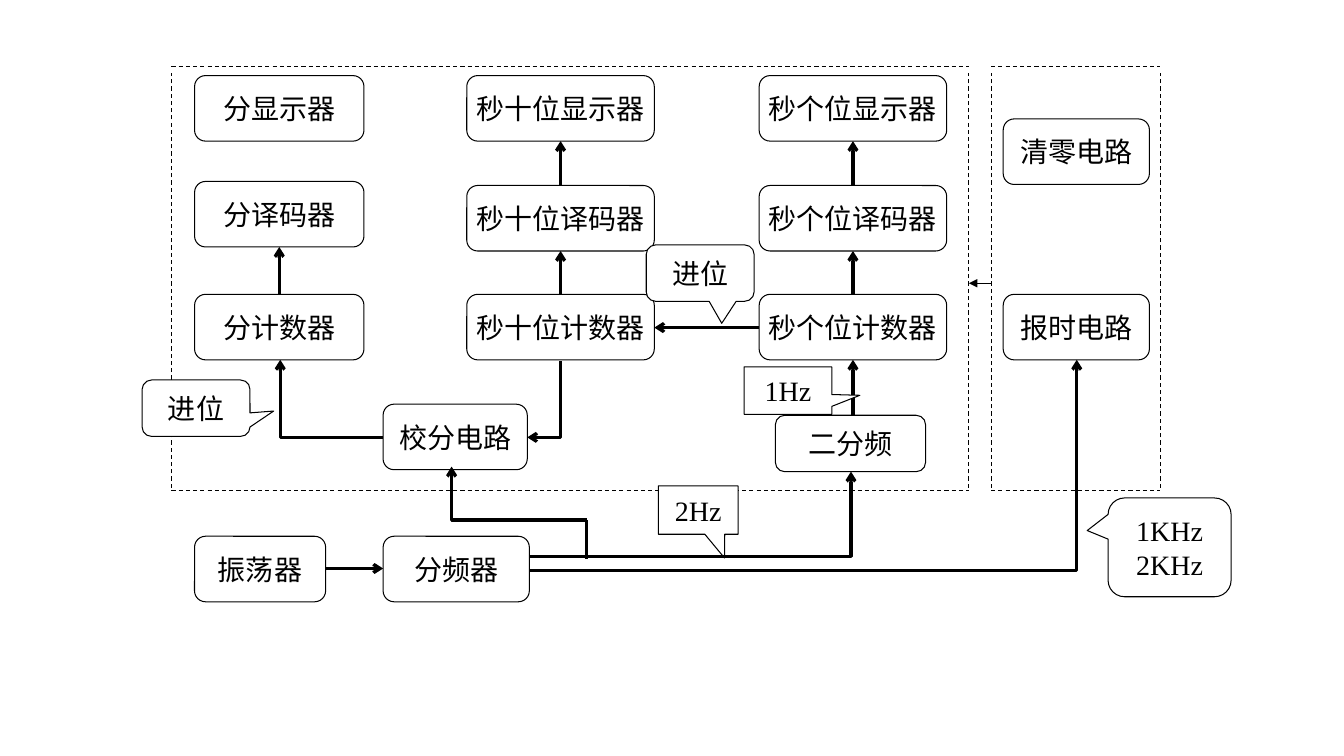
from dataclasses import dataclass

from lxml import etree
from pptx import Presentation
from pptx import util as u
from pptx.dml.color import RGBColor
from pptx.enum import dml, shapes, text
from pptx.oxml.ns import qn

PX = 9144


@dataclass(frozen=True)
class Theme:
    """Colours, type and line weights of the slide."""
    ink: RGBColor = RGBColor(0, 0, 0)
    paper: RGBColor = RGBColor(255, 255, 255)
    font: str = "Times New Roman"
    size: u.Pt = u.Pt(20)
    thin: u.Pt = u.Pt(0.75)
    bold: u.Pt = u.Pt(2.25)


THEME = Theme()
SHAPE = shapes.MSO_SHAPE
ROUND = SHAPE.ROUNDED_RECTANGULAR_CALLOUT
SQUARE = SHAPE.RECTANGULAR_CALLOUT


def set_values(target, values):
    """Set each named attribute on the target."""
    for name, value in values.items():
        setattr(target, name, value)


@dataclass
class Region:
    """A box on the slide whose parts are placed from its top left corner."""
    slide: object
    left: int
    top: int
    width: int
    height: int

    def block(self, label, left, top, width, height=65,
              kind=SHAPE.ROUNDED_RECTANGLE, adjustments=(0.167,)):
        """Add an outlined white shape with a centred label."""
        box = (self.left + left, self.top + top, width, height)
        shape = self.slide.shapes.add_shape(kind, *(value * PX for value in box))
        for index, value in enumerate(adjustments):
            shape.adjustments[index] = value
        shape.shadow.inherit = False
        shape.fill.solid()
        shape.fill.fore_color.rgb = THEME.paper
        shape.line.color.rgb = THEME.ink
        shape.line.width = THEME.thin
        frame = shape.text_frame
        set_values(frame, {
            "word_wrap": True, "vertical_anchor": text.MSO_ANCHOR.MIDDLE,
            "margin_left": 0, "margin_top": 0, "margin_right": 0, "margin_bottom": 0,
        })
        paragraph = frame.paragraphs[0]
        paragraph.alignment = text.PP_ALIGN.CENTER
        run = paragraph.add_run()
        run.text = label
        set_values(run.font, {"name": THEME.font, "size": THEME.size})
        run.font.color.rgb = THEME.ink

    def wire(self, start, end, arrow="tailEnd", head="arrow",
             width=THEME.bold, dash=None):
        """Add a straight line, or an elbow that leaves its start sideways."""
        bent = start[0] != end[0] and start[1] != end[1]
        kind = shapes.MSO_CONNECTOR.ELBOW if bent else shapes.MSO_CONNECTOR.STRAIGHT
        ends = [(origin + value) * PX for point in (start, end)
                for origin, value in zip((self.left, self.top), point)]
        connector = self.slide.shapes.add_connector(kind, *ends)
        set_values(connector.line, {"width": width, "dash_style": dash})
        connector.line.color.rgb = THEME.ink
        properties = connector.element.spPr
        if bent:
            properties.find(qn("a:prstGeom")).set("prst", "bentConnector2")
        if arrow:
            etree.SubElement(properties.find(qn("a:ln")), qn(f"a:{arrow}"), type=head)
        etree.SubElement(properties, qn("a:effectLst"))

    def outline(self):
        """Add four dashed edges with open corners."""
        right, bottom = self.width, self.height
        edges = [((0, 0), (right, 0)), ((0, bottom), (right, bottom)),
                 ((0, bottom - 3), (0, 6)), ((right, bottom - 3), (right, 6))]
        for start, end in edges:
            self.wire(start, end, arrow=None, width=THEME.thin,
                      dash=dml.MSO_LINE.DASH)


def counter_column(region, prefix, left, width, decoder_top=118, linked_display=True):
    """Add a display, decoder and counter joined by upward arrows."""
    tops = (9, decoder_top, 226)
    center = left + width // 2
    for level in range(0 if linked_display else 1, 2):
        region.wire((center, tops[level + 1]), (center, tops[level] + 65))
    for part, top in zip(("显示器", "译码器", "计数器"), tops):
        region.block(prefix + part, left, top, width)


def clock_region(region):
    """Add the counting chain, its carries and its outline."""
    region.wire((353, 368), (386, 292), arrow="headEnd")
    region.wire((210, 368), (108, 291))
    region.wire((676, 346), (676, 291))
    region.wire((583, 259), (479, 259))
    counter_column(region, "分", 23, 168, decoder_top=114, linked_display=False)
    counter_column(region, "秒十位", 293, 186)
    counter_column(region, "秒个位", 583, 186)
    region.block("校分电路", 210, 335, 143)
    region.block("二分频", 599, 346, 149, 56)
    region.outline()
    region.block("进位", 471, 177, 107, 56, ROUND, (0.2, 0.89, 0.167))
    region.block("进位", -29, 311, 107, 56, ROUND, (0.72, 0.05, 0.167))
    region.block("1Hz", 568, 298, 87, 47, SQUARE, (0.82, 0.1))


def control_region(region):
    """Add the reset and chime circuits with their outline."""
    region.block("清零电路", 12, 52, 145)
    region.block("报时电路", 12, 226, 145)
    region.outline()
    region.wire((0, 215), (-22, 215), head="triangle", width=THEME.thin)


def source_region(region):
    """Add the oscillator, the divider and the signals they feed."""
    region.wire((130, 82), (187, 82))
    region.block("振荡器", 0, 50, 130)
    region.block("分频器", 187, 50, 145)
    region.block("2Hz", 460, 0, 79, 48, SQUARE, (0.33, 0.99))
    region.block("1KHz 2KHz", 906, 12, 122, 98, ROUND, (-0.67, -0.17, 0.167))
    region.wire((389, 34), (255, -19))
    region.wire((389, 34), (389, 73), arrow=None)
    region.wire((332, 84), (875, -125))
    region.wire((332, 70), (651, -14))


def main():
    """Build the block diagram slide and save it."""
    presentation = Presentation()
    set_values(presentation, {"slide_width": 1333 * PX, "slide_height": 750 * PX})
    slide = presentation.slides.add_slide(presentation.slide_layouts[6])
    clock_region(Region(slide, 170, 66, 791, 421))
    control_region(Region(slide, 983, 66, 168, 421))
    source_region(Region(slide, 193, 482, 1028, 115))
    presentation.save("out.pptx")


if __name__ == "__main__":
    main()
